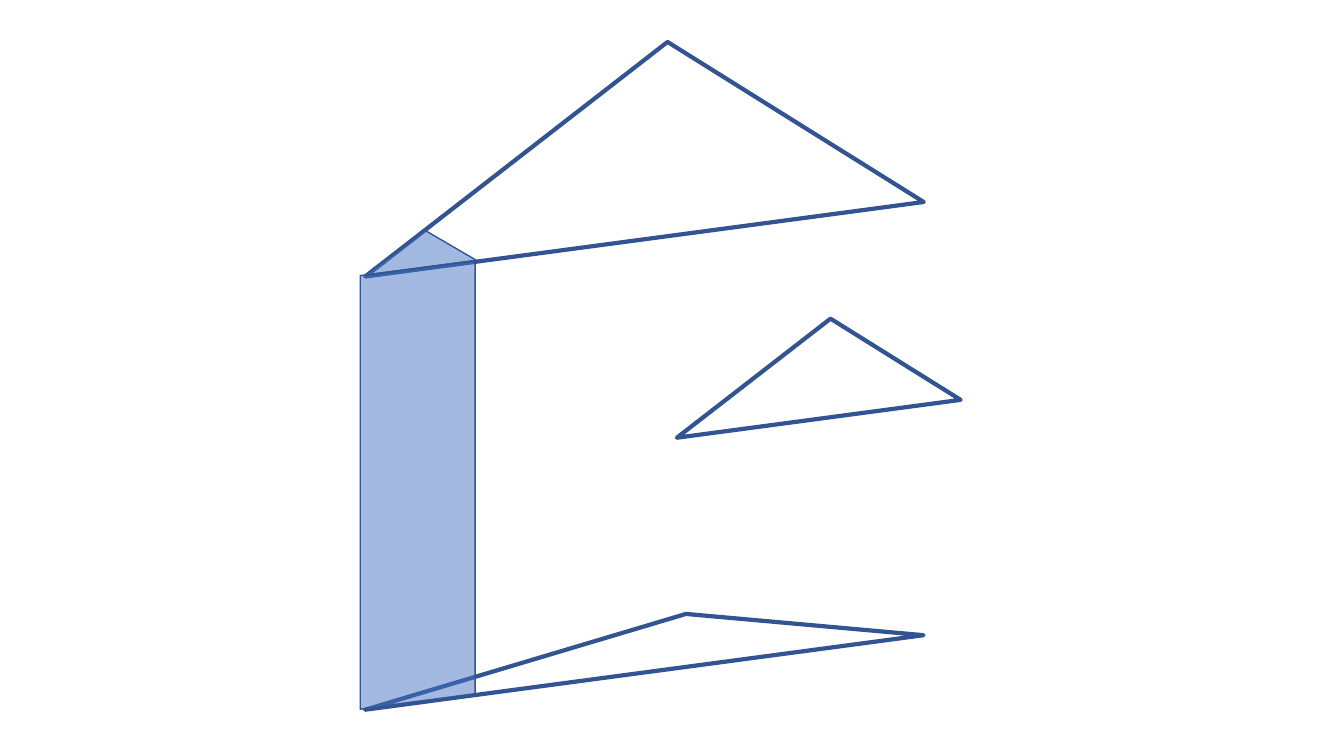
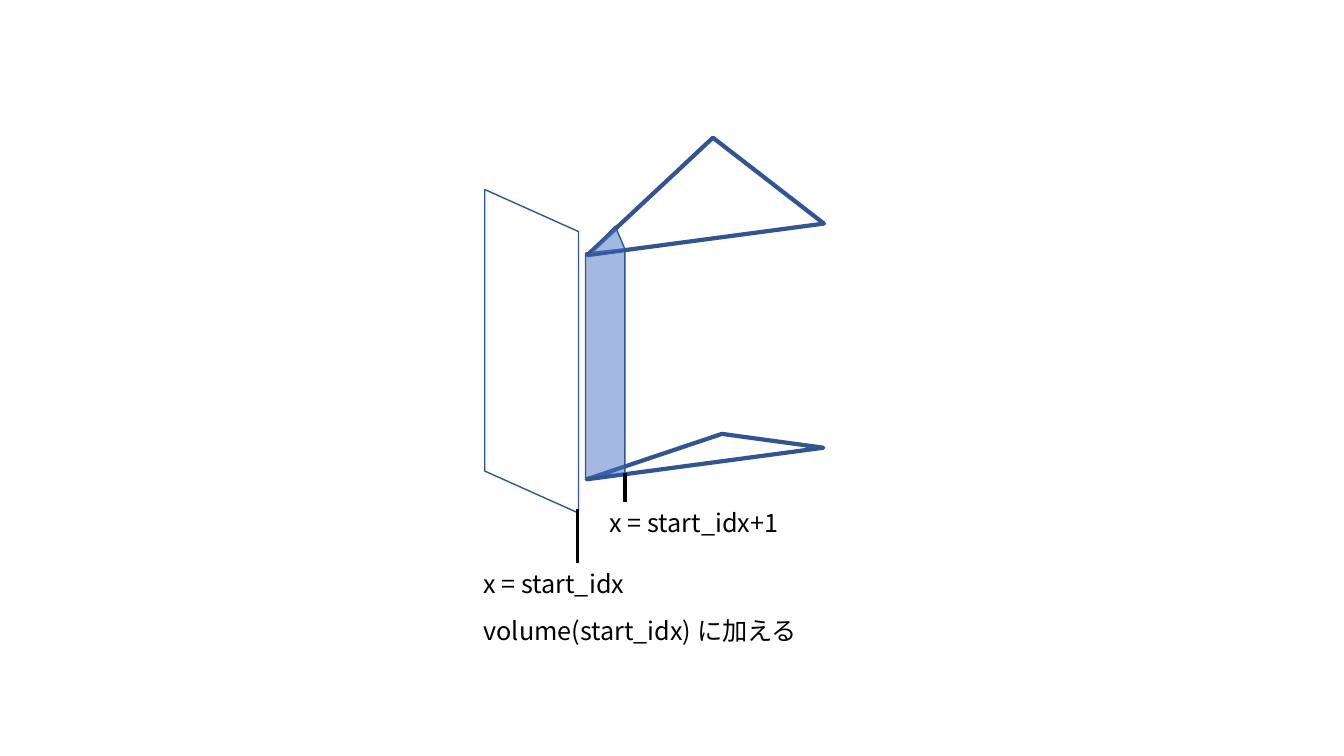
from lxml import etree
from pptx import Presentation
from pptx.dml.color import RGBColor
from pptx.enum.shapes import MSO_CONNECTOR, MSO_SHAPE
from pptx.oxml.ns import qn
from pptx.util import Pt

TRIANGLE = MSO_SHAPE.ISOSCELES_TRIANGLE
PARALLELOGRAM = MSO_SHAPE.PARALLELOGRAM
STRAIGHT = MSO_CONNECTOR.STRAIGHT

COLORS = {"outline": "325491", "fill": "4472C4", "ink": "000000"}
FONT = "Noto Sans CJK JP"
TILT = 352.4  # rotation shared by every triangle
APEX = 0.587  # apex position of the full triangles
THICK, THIN = 3, 1

# Content: kind, box (left, top, width, height), adjustment
PRISM = [
    ("triangle", (250, 34, 402.5, 137.5), APEX),
    ("triangle", (256.5, 443, 402.5, 37.5), APEX),
    ("side", (138.2, 305.3, 320.4, 82.1), 0.13),
    ("cap", (258.5, 165.6, 80.6, 25.9), APEX),
    ("triangle", (478, 229.7, 204.5, 69.8), APEX),
]
SLICE = [
    ("triangle", (414, 100, 170.6, 71.3), APEX),
    ("triangle", (417, 311.8, 170.6, 19.4), APEX),
    ("side", (350.6, 245.5, 163.4, 28.1), 0.103),
    ("cap", (418.3, 162.7, 27.4, 18), 0.817),
    ("plane", (264.2, 217.4, 231.1, 67), 0.448),
]
LABELS = [  # text, left, top, width
    ("volume(start_idx) に加える", 338.4, 436.3, 249.8),
    ("x = start_idx", 338.4, 402.5, 127.4),
    ("x = start_idx+1", 428.4, 358.6, 147.6),
]
TICKS = [(446.4, 337.7, 358.6), (412.6, 363.6, 402.5)]  # x, top, bottom

# Kind: preset, rotation, mirrored, fill opacity in percent, line width
STYLES = {
    "triangle": (TRIANGLE, TILT, False, None, THICK),
    "cap": (TRIANGLE, TILT, False, 50, THIN),
    "side": (PARALLELOGRAM, 90, True, 49, THIN),
    "plane": (PARALLELOGRAM, 270, False, None, THIN),
}


def rgb(name):
    return RGBColor.from_string(COLORS[name])


def add_figure(shapes, kind, box, adjustment):
    preset, rotation, mirrored, opacity, width = STYLES[kind]
    sp = shapes.add_shape(preset, *map(Pt, box))
    sp.adjustments[0] = adjustment
    sp.rotation = rotation
    sp.shadow.inherit = False
    sp.line.color.rgb = rgb("outline")
    sp.line.width = Pt(width)
    props = sp._element.spPr
    if mirrored:
        props.find(qn("a:xfrm")).set("flipV", "1")
    if opacity is None:
        sp.fill.background()
    else:
        sp.fill.solid()
        sp.fill.fore_color.rgb = rgb("fill")
        color = props.find(qn("a:solidFill")).find(qn("a:srgbClr"))
        etree.SubElement(color, qn("a:alpha")).set("val", str(opacity * 1000))


def add_label(shapes, text, left, top, width):
    tf = shapes.add_textbox(Pt(left), Pt(top), Pt(width), Pt(29)).text_frame
    tf.word_wrap = True
    r = tf.paragraphs[0].add_run()
    r.text = text
    r.font.size = Pt(18)
    r.font.name = FONT
    r.font.color.rgb = rgb("ink")
    # Japanese characters take the East Asian font
    etree.SubElement(r._r.get_or_add_rPr(), qn("a:ea")).set("typeface", FONT)


def add_tick(shapes, x, top, bottom):
    line = shapes.add_connector(STRAIGHT, Pt(x), Pt(top), Pt(x), Pt(bottom))
    line.line.color.rgb = rgb("ink")
    line.line.width = Pt(2.25)
    etree.SubElement(line._element.spPr, qn("a:effectLst"))


def main():
    prs = Presentation()
    prs.slide_width, prs.slide_height = Pt(960), Pt(540)
    blank = prs.slide_layouts[6]

    # Whole prism
    shapes = prs.slides.add_slide(blank).shapes
    for figure in PRISM:
        add_figure(shapes, *figure)

    # One slice with its bounds, kept together as a group
    shapes = prs.slides.add_slide(blank).shapes.add_group_shape().shapes
    for figure in SLICE:
        add_figure(shapes, *figure)
    for label in LABELS:
        add_label(shapes, *label)
    for tick in TICKS:
        add_tick(shapes, *tick)

    prs.save("out.pptx")


if __name__ == "__main__":
    main()
